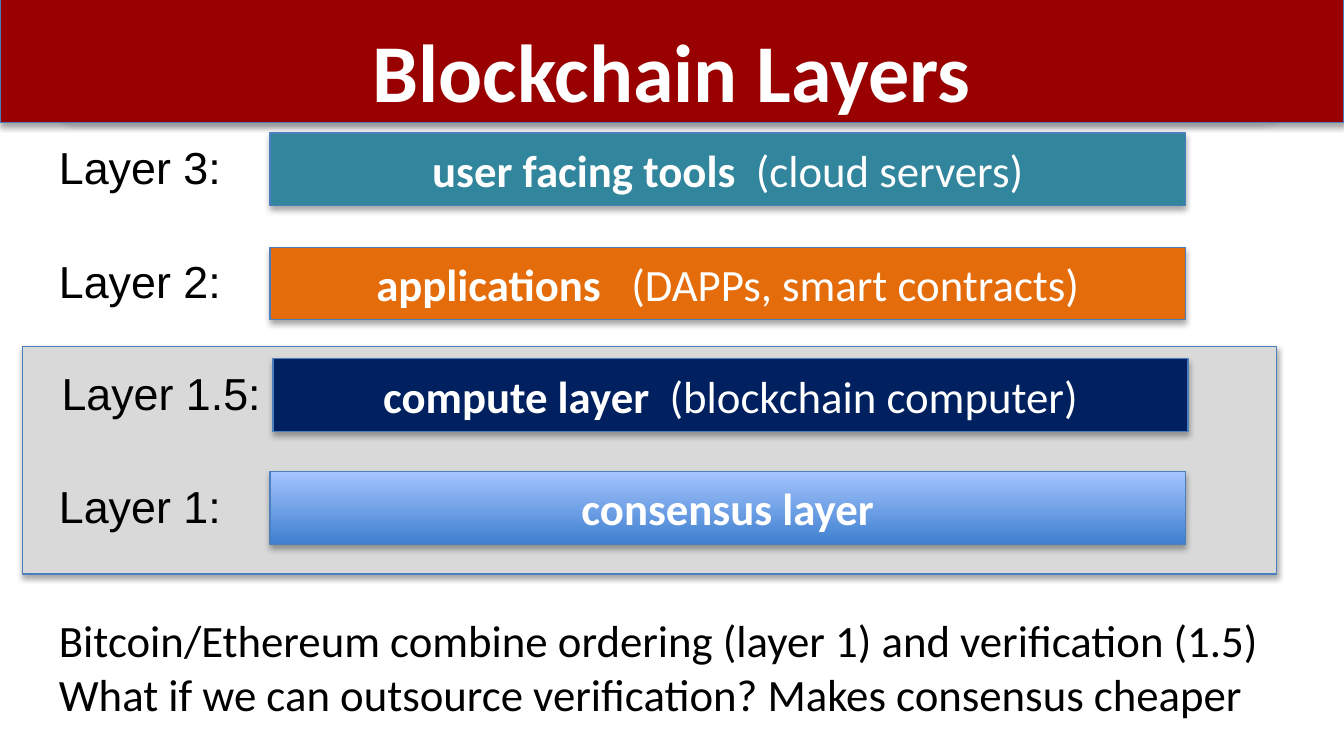
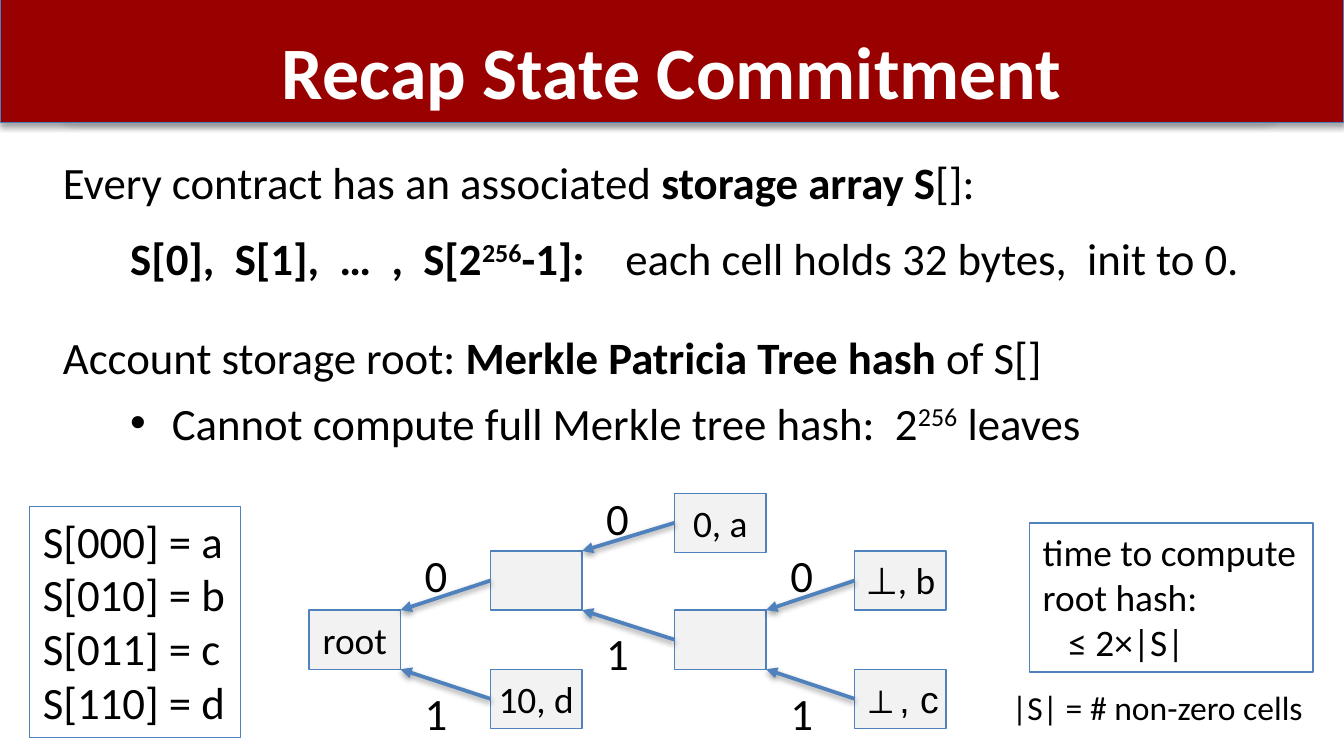
from pptx import Presentation
from pptx.dml.color import RGBColor as RGB
from pptx.enum.shapes import MSO_CONNECTOR as LINK, MSO_SHAPE as KIND
from pptx.enum.text import MSO_ANCHOR as ANCHOR, PP_ALIGN as ALIGN
from pptx.oxml import parse_xml
from pptx.oxml.ns import nsdecls
from pptx.util import Pt

PX = 9144  # 100 px to the inch
BLACK = RGB(0, 0, 0)
WHITE = RGB(255, 255, 255)
RED = RGB(0x99, 0, 0)
PURPLE = RGB(0x7D, 0x60, 0xA0)
EDGE = RGB(0x4B, 0x7E, 0xBC)
BLUE = RGB(0x4F, 0x81, 0xBD)
GREY = RGB(0xD9, 0xD9, 0xD9)
PALE = RGB(0xF2, 0xF2, 0xF2)
TEAL = RGB(0x31, 0x85, 0x9C)
ORANGE = RGB(0xE4, 0x6C, 0x0A)
NAVY = RGB(0, 0x20, 0x60)
DEEP = RGB(0x3F, 0x80, 0xCE)
LIGHT = RGB(0xA4, 0xC4, 0xFF)

SHADE = (f'<a:effectLst {nsdecls("a")}><a:outerShdw blurRad="40000" dist="%d" '
         'dir="5400000" rotWithShape="0"><a:srgbClr val="000000">'
         '<a:alpha val="%d"/></a:srgbClr></a:outerShdw></a:effectLst>')


def put(shape, text, size, font="Calibri", color=BLACK, align=ALIGN.LEFT,
        anchor=ANCHOR.TOP, wrap=False):
    """Fill a shape with text; *bold* and ^raised^ parts become runs."""
    frame = shape.text_frame
    frame.word_wrap = wrap
    frame.vertical_anchor = anchor
    for n, line in enumerate(text.split("\n")):
        para = frame.add_paragraph() if n else frame.paragraphs[0]
        para.alignment = align
        for i, part in enumerate(line.split("*")):
            for j, piece in enumerate(part.split("^")):
                if not piece:
                    continue
                run = para.add_run()
                run.text = piece
                run.font.name = font
                run.font.size = Pt(size)
                run.font.bold = i % 2 == 1
                run.font.color.rgb = color
                if j % 2:
                    run._r.get_or_add_rPr().set("baseline", "30000")
    return frame.paragraphs


def box(slide, area, fill=None, line=BLUE, shade=False, kind=KIND.RECTANGLE):
    shape = slide.shapes.add_shape(kind, *(v * PX for v in area))
    if fill is None:
        shape.fill.background()
    else:
        shape.fill.solid()
        shape.fill.fore_color.rgb = fill
    shape.line.color.rgb = line
    shape.line.width = Pt(0.75)
    if shade:
        shape.element.spPr.append(parse_xml(SHADE % (23000, 35000)))
    else:
        shape.shadow.inherit = False
    return shape


prs = Presentation()
prs.slide_width = 1000 * PX
prs.slide_height = prs.slide_width * 9 // 16
layout = prs.slide_layouts[5]

# Titles
slides = []
for name, top, size in [("Blockchain Layers", 10, 44),
                        ("Recap State Commitment", 14, 39.6)]:
    slide = prs.slides.add_slide(layout)
    title = slide.shapes.title
    title.left, title.top, title.width, title.height = (
        50 * PX, top * PX, 900 * PX, 68 * PX)
    put(title, f"*{name}*", size, color=WHITE, align=ALIGN.CENTER)
    slides.append(slide)
first, second = slides

# Red band, shared through the layout
frame = box(first, (40, 0, 913, 89), None, PURPLE, True, KIND.ROUNDED_RECTANGLE)
band = box(first, (0, -1, 1000, 92), RED, EDGE, True)
for spot, shape in enumerate([frame, band], 2):
    layout.shapes.element.insert(spot, shape.element)

# Slide 1: stack of layers
box(first, (17, 258, 933, 169), GREY, EDGE, True)
layers = [
    ("1", 0, 351, 142, "*consensus layer*", None),
    ("1.5", 2, 267, 170, "*compute layer  *(blockchain computer)", NAVY),
    ("2", 0, 184, 142, "*applications*   (DAPPs, smart contracts)", ORANGE),
    ("3", 0, 99, 142, "*user facing tools  *(cloud servers)", TEAL),
]
for level, shift, top, width, text, fill in layers:
    bar = box(first, (201 + shift, top, 681, 54), fill, EDGE, True)
    if fill is None:
        bar.fill.gradient()
        bar.fill.gradient_angle = 90
        for stop, color in zip(bar.fill.gradient_stops, (DEEP, LIGHT)):
            stop.color.rgb = color
    put(bar, text, 24, color=WHITE, align=ALIGN.CENTER, anchor=ANCHOR.MIDDLE)
    label = first.shapes.add_textbox((34 + shift) * PX, top * PX, width * PX, 50 * PX)
    put(label, f"Layer {level}:", 24, "Arial")

note = first.shapes.add_textbox(34 * PX, 451 * PX, 916 * PX, 91 * PX)
put(note, "Bitcoin/Ethereum combine ordering (layer 1) and verification (1.5)\n"
          "What if we can outsource verification? Makes consensus cheaper", 24, wrap=True)

# Slide 2: storage text
body = second.shapes.add_textbox(37 * PX, 110 * PX, 927 * PX, 239 * PX)
paras = put(body, "Every contract has an associated *storage array S*[]:\n"
                  "*S[0],  S[1],  …  ,  S[2^256^-1]:    *each cell holds 32 bytes,  init to 0.\n"
                  "Account storage root: *Merkle Patricia Tree hash *of S[]\n"
                  "Cannot compute full Merkle tree hash:  2^256^ leaves", 24, wrap=True)
for para, gap in zip(paras[1:], (12.2, 24.2, 6.2)):
    para.space_before = Pt(gap)
paras[1]._p.get_or_add_pPr().set("marL", str(50 * PX))
props = paras[3]._p.get_or_add_pPr()
props.set("marL", str(81 * PX))
props.set("indent", str(-31 * PX))
props.append(parse_xml(f'<a:buFont {nsdecls("a")} typeface="Arial"/>'))
props.append(parse_xml(f'<a:buChar {nsdecls("a")} char="•"/>'))

cells = box(second, (22, 377, 157, 172))
put(cells, "S[000] = a\nS[010] = b\nS[011] = c\nS[110] = d", 24)

# Slide 2: tree
WIDE, HIGH = 68, 44
nodes = {
    "root": (230, 454, "root", "Calibri"),
    "left": (365, 410, "", "Calibri"),
    "d": (365, 498, "10, d", "Calibri"),
    "a": (502, 367, "0, a", "Calibri"),
    "right": (502, 454, "", "Calibri"),
    "b": (636, 410, "⊥, b", "Calibri"),
    "c": (636, 498, "⊥, c", "Arial"),
}
for x, y, text, font in nodes.values():
    node = box(second, (x, y, WIDE, HIGH), PALE)
    put(node, text, 20, font, align=ALIGN.CENTER)

for top, *kids in [("root", "left", "d"), ("left", "a", "right"), ("right", "b", "c")]:
    x, y = nodes[top][:2]
    for bit, kid in enumerate(kids):
        left, high = nodes[kid][:2]
        ends = (x + WIDE, y + bit * HIGH, left, high + HIGH // 2)
        link = second.shapes.add_connector(LINK.STRAIGHT, *(v * PX for v in ends))
        link.line.color.rgb = BLUE
        link.line.width = Pt(2)
        link.line._get_or_add_ln().append(
            parse_xml(f'<a:headEnd {nsdecls("a")} type="triangle"/>'))
        link.element.spPr.append(parse_xml(SHADE % (20000, 38000)))
        label = second.shapes.add_textbox(
            (x + 76) * PX, (high - 7 + bit * 14) * PX, 37 * PX, 50 * PX)
        put(label, str(bit), 24, align=ALIGN.CENTER)

# Slide 2: cost
cost = box(second, (766, 389, 211, 111))
paras = put(cost, "time to compute\nroot hash:\n≤ 2×|S|", 20)
paras[2]._p.get_or_add_pPr().set("marL", str(19 * PX))
key = second.shapes.add_textbox(743 * PX, 506 * PX, 239 * PX, 40 * PX)
put(key, "|S| = # non-zero cells", 18)

prs.save("out.pptx")
